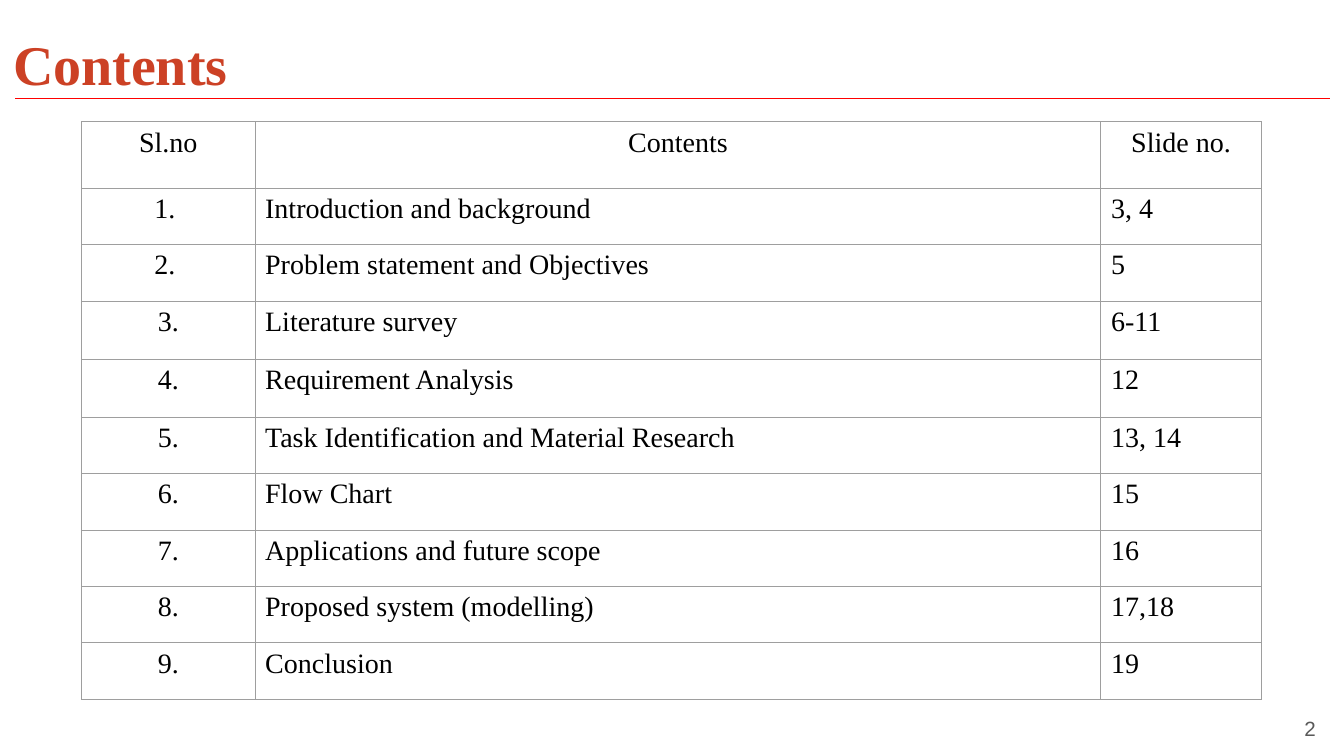
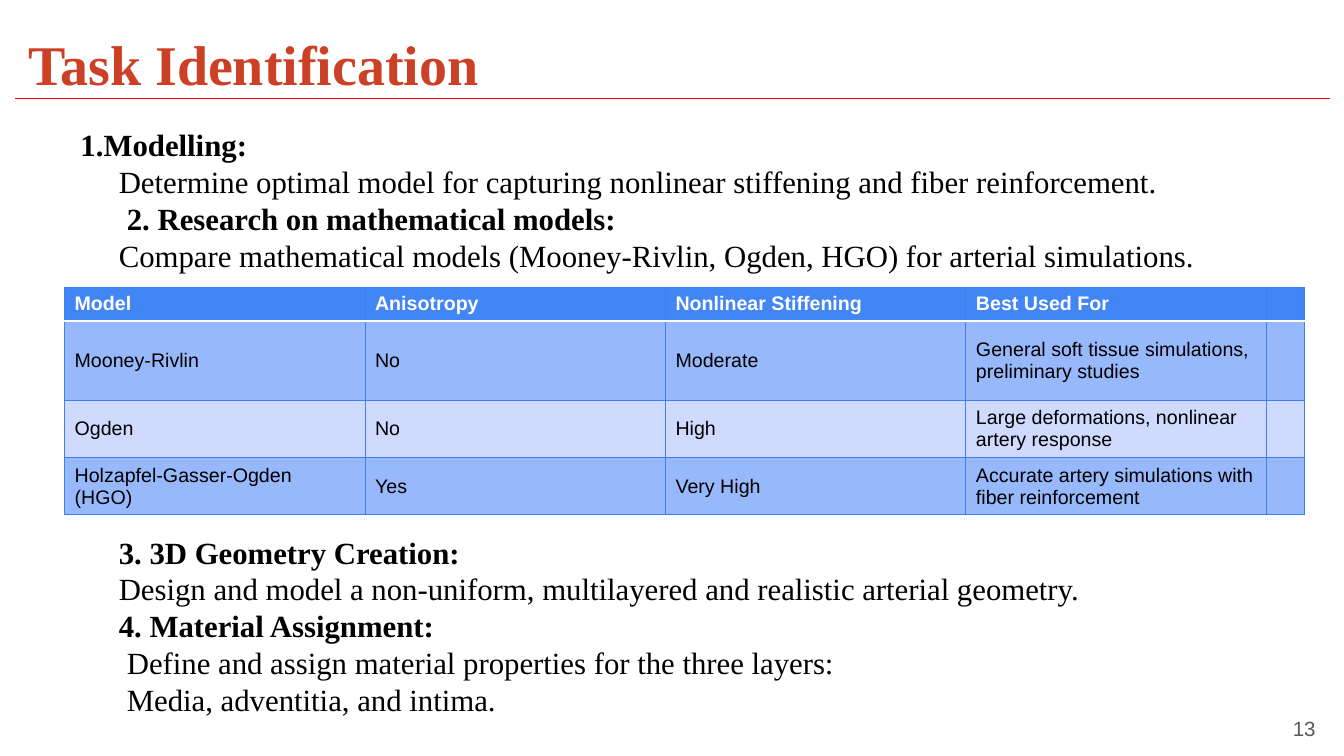
from dataclasses import dataclass

from lxml.etree import SubElement
from pptx import Presentation
from pptx.dml.color import RGBColor
from pptx.enum.shapes import MSO_CONNECTOR
from pptx.enum.text import MSO_ANCHOR, PP_ALIGN
from pptx.oxml.ns import qn
from pptx.util import Inches, Pt


@dataclass(frozen=True)
class Theme:
    """Colours, fonts and type sizes of the deck."""
    serif: str = "Times New Roman"
    sans: str = "Arial"
    title: str = "CC4125"
    rule: str = "FF0000"
    number: str = "595959"
    black: str = "000000"
    white: str = "FFFFFF"
    grid: str = "9E9E9E"
    model_grid: str = "3C81F3"
    header: str = "4285F4"
    band_dark: str = "97B8FA"
    band_light: str = "CFDAFE"
    title_size: float = 40
    body_size: float = 22
    contents_size: float = 20
    model_size: float = 14
    number_size: float = 14.7
    thin: float = 0.75
    thick: float = 2


THEME = Theme()


def write(para, text, *, size, font=THEME.serif, color=THEME.black,
          bold=False, align=PP_ALIGN.LEFT, indent=0):
    """Fill a paragraph with formatted text."""
    para.alignment = align
    if indent:
        para._p.get_or_add_pPr().set("marL", str(Inches(indent)))
    if not text:
        para._p.get_or_add_endParaRPr().set("sz", str(int(size * 100)))
        return
    span = para.add_run()
    span.text = text
    span.font.name = font
    span.font.size = Pt(size)
    span.font.bold = bold
    span.font.color.rgb = RGBColor.from_string(color)


def draw_border(cell, side, color, width):
    """Draw one side (L, R, T or B) of a cell."""
    properties = cell._tc.get_or_add_tcPr()
    line = SubElement(properties, qn(f"a:ln{side}"), w=str(Pt(width)))
    fill = SubElement(line, qn("a:solidFill"))
    SubElement(fill, qn("a:srgbClr"), val=color)


class SlideBuilder:
    """Holds the theme and the current slide and adds elements to it."""

    def __init__(self, deck, theme):
        """Remember the deck and its theme."""
        self.deck = deck
        self.theme = theme
        self.page = None

    def start(self, title, number, title_left):
        """Add a slide with its rule, title and number."""
        theme = self.theme
        self.page = self.deck.slides.add_slide(self.deck.slide_layouts[6])
        self.rule()
        self.text(title_left, 0.16, 7.5, 0.94, [(title, {"bold": True})], inset=0.13,
                  size=theme.title_size, color=theme.title)
        self.text(11.85, 6.98, 1.33, 0.52, [(number, {})], inset=0.13,
                  size=theme.number_size, font=theme.sans,
                  color=theme.number, align=PP_ALIGN.RIGHT)

    def rule(self):
        """Draw the line under the title."""
        line = self.page.shapes.add_connector(
            MSO_CONNECTOR.STRAIGHT, Inches(0.15), Inches(0.98), Inches(13.19), Inches(0.98))
        line.line.color.rgb = RGBColor.from_string(self.theme.rule)
        line.line.width = Pt(self.theme.thin)
        SubElement(line._element.spPr, qn("a:effectLst"))

    def text(self, left, top, width, height, lines, inset=0.1, **style):
        """Add a text box with one paragraph per (text, format) pair."""
        box = self.page.shapes.add_textbox(
            Inches(left), Inches(top), Inches(width), Inches(height))
        frame = box.text_frame
        frame.word_wrap = True
        frame.margin_left = frame.margin_right = Inches(inset)
        frame.margin_top = frame.margin_bottom = Inches(inset)
        for index, (text, changes) in enumerate(lines):
            para = frame.add_paragraph() if index else frame.paragraphs[0]
            write(para, text, **{**style, **changes})

    def table(self, left, top, widths, heights, rows, decorate):
        """Add a table and let decorate format each cell."""
        table = self.page.shapes.add_table(
            len(rows), len(widths), Inches(left), Inches(top),
            Inches(sum(widths)), Inches(sum(heights))).table
        table.first_row = table.horz_banding = False
        for column, width in zip(table.columns, widths):
            column.width = Inches(width)
        for row, height in zip(table.rows, heights):
            row.height = Inches(height)
        for row_index, row in enumerate(rows):
            for column_index, text in enumerate(row):
                decorate(table.cell(row_index, column_index), text, row_index, column_index)

    def contents_cell(self, cell, text, row, column):
        """Format a cell of the plain contents table."""
        theme = self.theme
        for side in "LRTB":
            draw_border(cell, side, theme.grid, theme.thin)
        cell.fill.background()
        centred = row == 0 or column == 0
        write(cell.text_frame.paragraphs[0], text, size=theme.contents_size,
              align=PP_ALIGN.CENTER if centred else PP_ALIGN.LEFT)

    def model_cell(self, cell, text, row, column):
        """Format a cell of the banded model table."""
        theme = self.theme
        is_header = row == 0
        for side in "LRTB":
            if (row, side) in ((0, "B"), (1, "T")):
                draw_border(cell, side, theme.white, theme.thick)
            else:
                draw_border(cell, side, theme.model_grid, theme.thin)
        band = theme.band_dark if row % 2 else theme.band_light
        cell.fill.solid()
        cell.fill.fore_color.rgb = RGBColor.from_string(theme.header if is_header else band)
        cell.vertical_anchor = MSO_ANCHOR.MIDDLE
        write(cell.text_frame.paragraphs[0], text, size=theme.model_size, font=theme.sans,
              color=theme.white if is_header else theme.black, bold=is_header)


def build_contents(builder):
    """Build the contents slide."""
    builder.start("Contents", "2", 0)
    rows = [
        ("Sl.no", "Contents", "Slide no."),
        ("1. ", "Introduction and background", "3, 4"),
        ("2. ", "Problem statement and Objectives", "5"),
        ("3.", "Literature survey", "6-11"),
        ("4.", "Requirement Analysis", "12"),
        ("5.", "Task Identification and Material Research", "13, 14"),
        ("6.", "Flow Chart", "15"),
        ("7.", "Applications and future scope", "16"),
        ("8.", "Proposed system (modelling)", "17,18"),
        ("9.", "Conclusion", "19"),
    ]
    heights = [0.66, 0.56, 0.56, 0.58, 0.57] + [0.56] * 5
    builder.table(0.81, 1.21, [1.72, 8.39, 1.59], heights, rows, builder.contents_cell)


def build_tasks(builder):
    """Build the task identification slide."""
    builder.start("Task Identification", "13", 0.15)
    style = {"size": builder.theme.body_size, "align": PP_ALIGN.JUSTIFY, "indent": 0.88}
    heading = {"bold": True}
    deeper = {"indent": 0.96}
    builder.text(0.2, 1.15, 12.74, 1.67, [
        ("1.Modelling:", {"bold": True, "indent": 0.5}),
        ("Determine optimal model for capturing nonlinear stiffening and fiber reinforcement.", {}),
        ("2. Research on mathematical models:", {**heading, **deeper}),
        ("Compare mathematical models (Mooney-Rivlin, Ogden, HGO) for arterial simulations.", {}),
    ], **style)
    builder.text(0.2, 5.19, 12.74, 2.04, [
        ("3. 3D Geometry Creation:", heading),
        ("Design and model a non-uniform, multilayered and realistic arterial geometry.", {}),
        ("4. Material Assignment:", heading),
        ("Define and assign material properties for the three layers:", deeper),
        ("Media, adventitia, and intima.", deeper),
    ], **style)
    rows = [
        ("Model", "Anisotropy", "Nonlinear Stiffening", "Best Used For", ""),
        ("Mooney-Rivlin", "No", "Moderate",
         "General soft tissue simulations, preliminary studies", ""),
        ("Ogden", "No", "High", "Large deformations, nonlinear artery response", ""),
        ("Holzapfel-Gasser-Ogden (HGO)", "Yes", "Very High",
         "Accurate artery simulations with fiber reinforcement", ""),
    ]
    builder.table(0.64, 2.85, [2.98] * 4 + [0.38], [0.33, 0.79, 0.56, 0.56],
                  rows, builder.model_cell)


def main():
    """Build and save the deck."""
    deck = Presentation()
    deck.slide_width = Inches(13.33)
    deck.slide_height = Inches(7.5)
    builder = SlideBuilder(deck, THEME)
    build_contents(builder)
    build_tasks(builder)
    deck.save("out.pptx")


if __name__ == "__main__":
    main()
